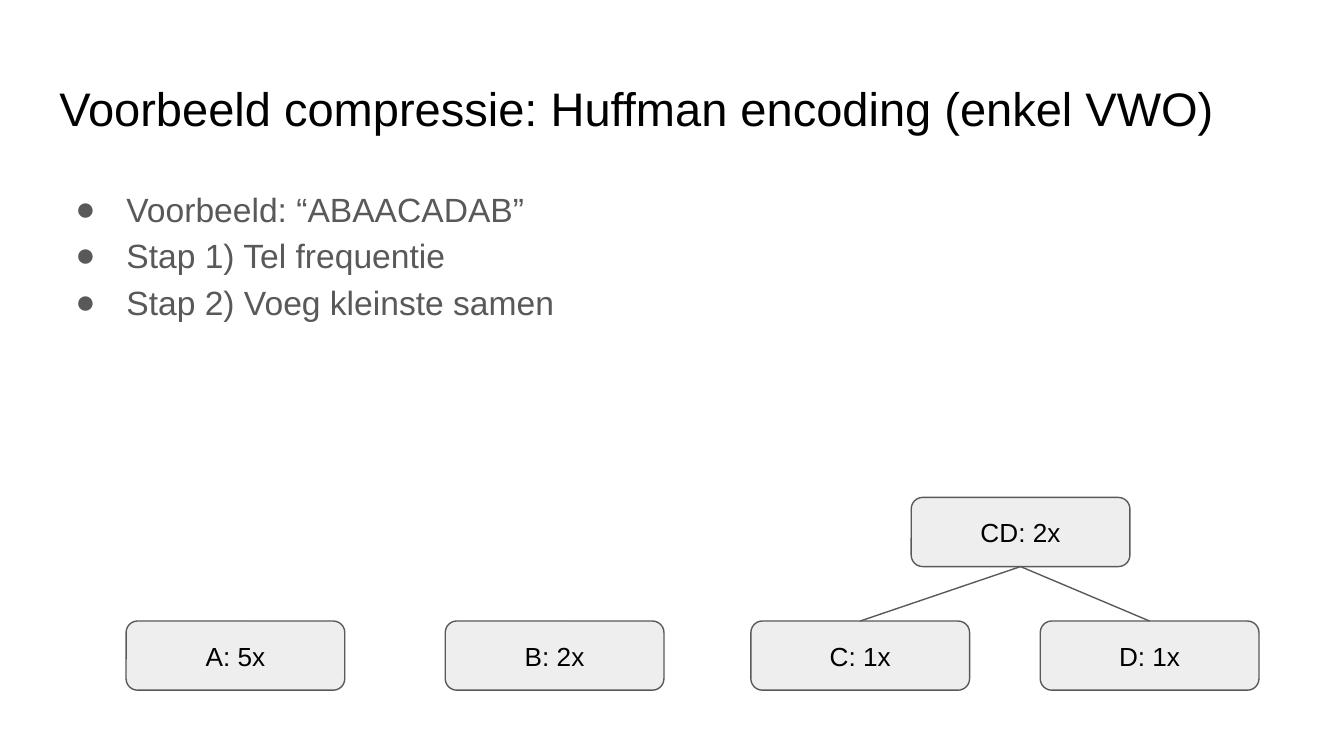
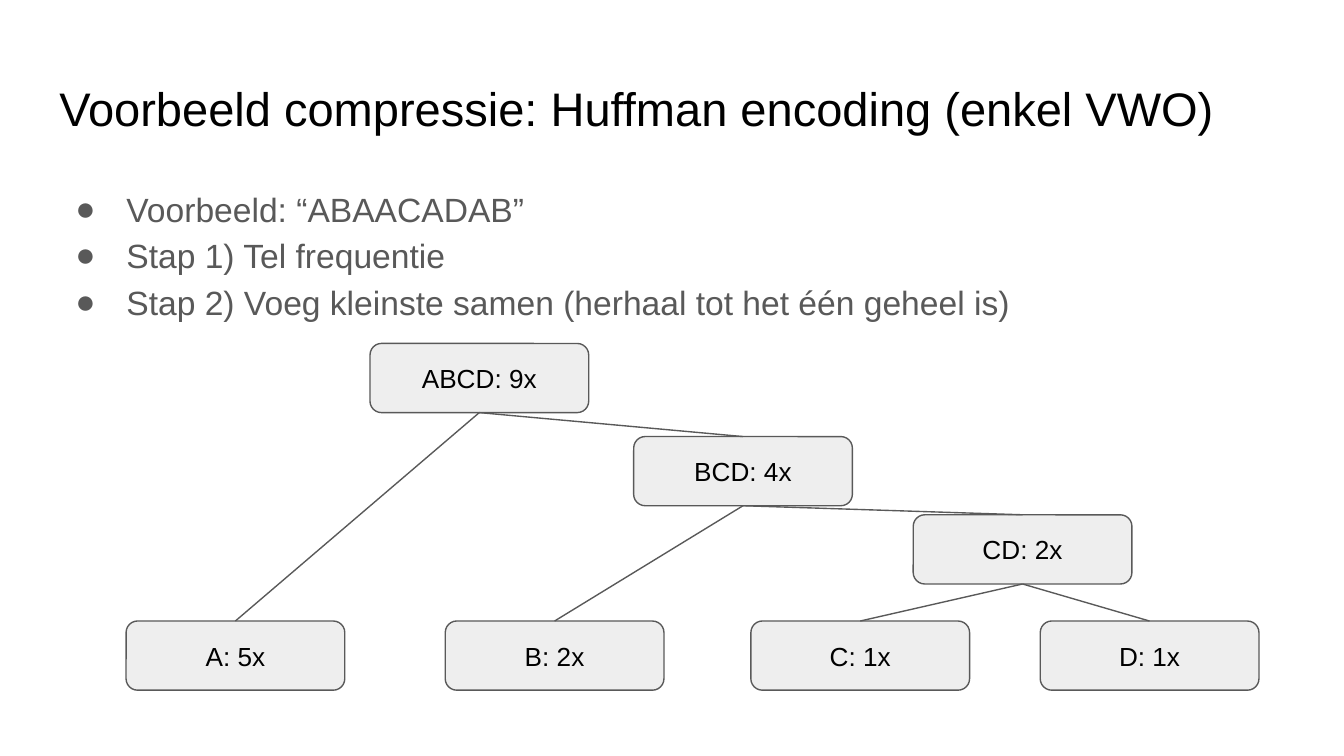
from lxml import etree
from pptx import Presentation
from pptx import util as u
from pptx.dml.color import RGBColor
from pptx.enum import shapes, text
from pptx.oxml import ns

deck = Presentation()
deck.slide_width = u.Inches(10)
deck.slide_height = deck.slide_width * 9 // 16
col, row = deck.slide_width / 100, deck.slide_height / 100

FONT, INK, GREY, PALE = "Arial", "000000", "595959", "EEEEEE"
TITLE = "Voorbeeld compressie: Huffman encoding (enkel VWO)"
STEPS = ["Voorbeeld: “ABAACADAB”", "Stap 1) Tel frequentie"]
MERGE = "Stap 2) Voeg kleinste samen"
WIDE, HIGH, BASE = 16.27, 9.15, 82.15
LEAVES = {
    "A: 5x": (9.38, BASE),
    "B: 2x": (33.13, BASE),
    "C: 1x": (55.87, BASE),
    "D: 1x": (77.4, BASE),
}
PAIR = [("CD: 2x", "C: 1x"), ("CD: 2x", "D: 1x")]
TREE = PAIR + [
    ("BCD: 4x", "B: 2x"),
    ("BCD: 4x", "CD: 2x"),
    ("ABCD: 9x", "BCD: 4x"),
    ("ABCD: 9x", "A: 5x"),
]
SLIDES = [
    (MERGE, {"CD: 2x": (67.8, 65.8)}, PAIR),
    (
        MERGE + " (herhaal tot het één geheel is)",
        {"CD: 2x": (67.95, 68.1), "BCD: 4x": (47.15, 57.75), "ABCD: 9x": (27.53, 45.43)},
        TREE,
    ),
]


def hue(code):
    return RGBColor.from_string(code)


def write(shape, lines, size, tint=INK, align="LEFT", anchor="TOP", dot=None, lead=1.0):
    frame = shape.text_frame
    frame.word_wrap = True
    frame.auto_size = text.MSO_AUTO_SIZE.NONE
    frame.vertical_anchor = text.MSO_ANCHOR[anchor]
    frame.margin_left = frame.margin_right = u.Inches(0.1)
    frame.margin_top = frame.margin_bottom = u.Inches(0.1)
    frame.text = "\n".join(lines)
    for para in frame.paragraphs:
        para.alignment = text.PP_ALIGN[align]
        para.line_spacing = lead
        para.space_before = u.Pt(0)
        if dot:
            props = para._p.get_or_add_pPr()
            props.set("marL", str(u.Inches(0.5)))
            props.set("indent", str(u.Inches(-0.38)))
            paint = etree.SubElement(props, ns.qn("a:buClr"))
            etree.SubElement(paint, ns.qn("a:srgbClr"), val=tint)
            etree.SubElement(props, ns.qn("a:buFont"), typeface=FONT)
            etree.SubElement(props, ns.qn("a:buChar"), char=dot)
        for run in para.runs:
            run.font.name, run.font.size = FONT, u.Pt(size)
            run.font.color.rgb = hue(tint)


for last, joins, links in SLIDES:
    slide = deck.slides.add_slide(deck.slide_layouts[1])
    slide.background.fill.solid()
    slide.background.fill.fore_color.rgb = hue("FFFFFF")
    head, body = slide.placeholders
    for box, top, tall in [(head, 8.65, 11.13), (body, 22.4, 66.43)]:
        box.left, box.width = int(3.41 * col), int(93.18 * col)
        box.top, box.height = int(top * row), int(tall * row)
    write(head, [TITLE], 25.2, anchor="MIDDLE")
    write(body, STEPS + [last], 18, tint=GREY, dot="●", lead=1.15)

    nodes = {}
    for name, (left, top) in {**LEAVES, **joins}.items():
        node = slide.shapes.add_shape(
            shapes.MSO_SHAPE.ROUNDED_RECTANGLE,
            int(left * col), int(top * row), int(WIDE * col), int(HIGH * row),
        )
        node.shadow.inherit = False
        node.fill.solid()
        node.fill.fore_color.rgb = hue(PALE)
        node.line.color.rgb = hue(GREY)
        node.line.width = u.Pt(0.75)
        write(node, [name], 14, align="CENTER", anchor="MIDDLE")
        nodes[name] = node

    for start, end in links:
        link = slide.shapes.add_connector(shapes.MSO_CONNECTOR.STRAIGHT, 0, 0, 0, 0)
        link.begin_connect(nodes[start], 2)
        link.end_connect(nodes[end], 0)
        link.line.color.rgb = hue(GREY)
        link.line.width = u.Pt(0.75)
        etree.SubElement(link._element.spPr, ns.qn("a:effectLst"))

deck.save("out.pptx")
